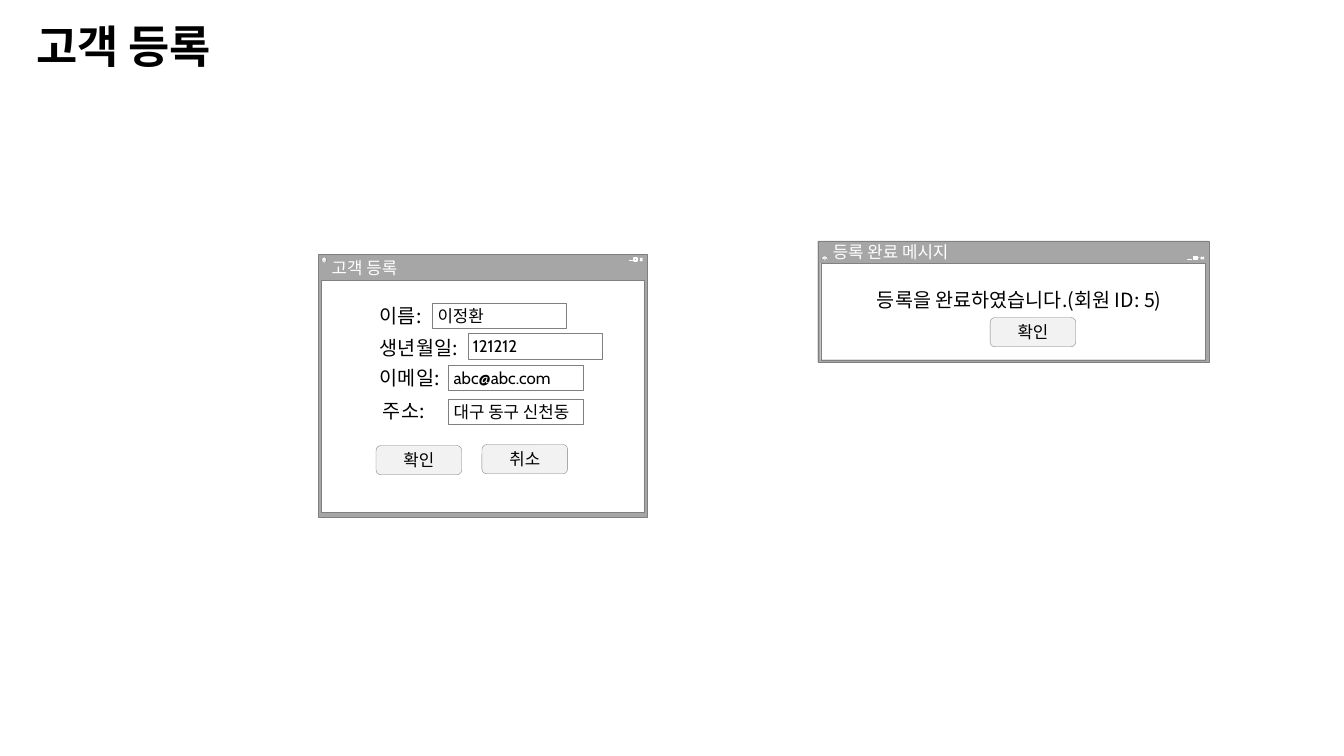
from copy import deepcopy
from pptx import Presentation
from pptx.dml.color import RGBColor
from pptx.enum.shapes import MSO_CONNECTOR, MSO_SHAPE
from pptx.enum.text import MSO_ANCHOR, MSO_AUTO_SIZE, PP_ALIGN
from pptx.oxml.ns import qn
from pptx.oxml.xmlchemy import OxmlElement
from pptx.util import Inches, Pt

BLACK = RGBColor(0, 0, 0)
WHITE = RGBColor(255, 255, 255)
FRAME = RGBColor(0xA6, 0xA6, 0xA6)
EDGE = RGBColor(0x80, 0x80, 0x80)
LIGHT = RGBColor(0xF2, 0xF2, 0xF2)
SHADE = RGBColor(0xD9, 0xD9, 0xD9)
DARK = RGBColor(0x91, 0x91, 0x91)
SANS, CABIN = "Noto Sans CJK KR", "Cabin"

# Windows: frame, body, title text and its box, then the bar icons:
# close cross, restore box, dash, and the round menu icon
WINDOWS = [
    dict(title="고객 등록", frame=(3.16, 2.52, 3.26, 2.61),
         body=(3.19, 2.78, 3.2, 2.3), head=(3.24, 2.55, 0.87, 0.23),
         cross=(6.35, 2.56, 0.02, 0.03), box=(6.29, 2.56, 0.03, 0.03),
         dash=(6.24, 2.58), menu=(3.19, 2.55, 0.05, 0.06)),
    dict(title="등록 완료 메시지", frame=(8.11, 2.39, 3.88, 1.2),
         body=(8.14, 2.61, 3.81, 0.96), head=(8.21, 2.38, 1.69, 0.25),
         cross=(11.91, 2.55, 0.03, 0.02), box=(11.84, 2.55, 0.04, 0.02),
         dash=(11.77, 2.57), menu=(8.15, 2.54, 0.06, 0.04)),
]
# Text, left, top, width, height, size, bold
LABELS = [
    ("고객 등록", 0.26, 0.14, 2.15, 0.64, 32, True),
    ("이름:", 3.67, 2.97, 0.64, 0.34, 14, False),
    ("생년월일:", 3.67, 3.28, 1.03, 0.34, 14, False),
    ("이메일:", 3.67, 3.58, 0.83, 0.34, 14, False),
    ("주소:", 3.7, 3.91, 0.71, 0.34, 14, False),
    ("등록을 완료하였습니다.(회원 ID: 5)", 8.6, 2.81, 3.27, 0.34, 14, False),
]
# Text, left, top
FIELDS = [("이정환", 4.29, 3.01), ("121212", 4.64, 3.31),
          ("abc@abc.com", 4.45, 3.62), ("대구 동구 신천동", 4.45, 3.96)]
BUTTONS = [("확인", 3.73, 4.42), ("취소", 4.78, 4.41), ("확인", 9.82, 3.15)]


def write(shape, text, size, font, color, pads, bold=False, wrap=False,
          align=PP_ALIGN.LEFT, anchor=MSO_ANCHOR.MIDDLE):
    """Fill the shape with one run; pads are left, top, right, bottom."""
    frame = shape.text_frame
    frame.word_wrap = wrap
    frame.vertical_anchor = anchor
    (frame.margin_left, frame.margin_top,
     frame.margin_right, frame.margin_bottom) = map(Inches, pads)
    para = frame.paragraphs[0]
    para.alignment = align
    run = para.add_run()
    run.text = text
    run.font.size = Pt(size)
    run.font.bold = bold
    run.font.color.rgb = color
    run.font.name = font
    asian = OxmlElement("a:ea")
    asian.set("typeface", SANS)
    run.font._element.append(asian)


def add_box(parent, area, fill, line=EDGE, width=0.25, kind=MSO_SHAPE.RECTANGLE):
    shape = parent.add_shape(kind, *map(Inches, area))
    shape.shadow.inherit = False
    if fill is None:
        shape.fill.background()
    else:
        shape.fill.solid()
        shape.fill.fore_color.rgb = fill
    shape.line.color.rgb = line
    shape.line.width = Pt(width)
    return shape


def add_label(parent, area):
    label = parent.add_textbox(*map(Inches, area))
    label.text_frame.auto_size = MSO_AUTO_SIZE.SHAPE_TO_FIT_TEXT
    return label


def add_line(parent, *ends):
    line = parent.add_connector(MSO_CONNECTOR.STRAIGHT, *map(Inches, ends))
    line.line.color.rgb = WHITE
    line.line.width = Pt(1)
    line._element.spPr.append(OxmlElement("a:effectLst"))


def shade(shape):
    """Give the menu icon its three-stop vertical gradient."""
    shape.fill.gradient()
    shape.fill.gradient_angle = 270
    stops = shape.fill.gradient_stops
    for stop, color, place in zip(stops, (LIGHT, SHADE), (0.36, 0.91)):
        stop.color.rgb = color
        stop.position = place
    gs_list = shape._element.spPr.find(qn("a:gradFill")).find(qn("a:gsLst"))
    last = deepcopy(gs_list[0])
    last.set("pos", "100000")
    gs_list.append(last)


def add_window(slide, win):
    group = slide.shapes.add_group_shape().shapes
    add_box(group, win["frame"], FRAME)
    add_box(group, win["body"], WHITE)
    write(add_label(group, win["head"]), win["title"], 12, CABIN, WHITE,
          (0.05, 0.02, 0.1, 0.03))
    x, y, w, h = win["cross"]
    add_line(group, x, y, x + w, y + h)
    add_line(group, x + w, y, x, y + h)
    x, y, w, h = win["box"]
    add_box(group, (x, y, w, 0), DARK, WHITE)
    add_box(group, (x, y, w, h), None, WHITE, 1)
    add_box(group, (*win["dash"], w, 0), DARK, WHITE)
    shade(add_box(group, win["menu"], LIGHT, kind=MSO_SHAPE.OVAL))


def main():
    deck = Presentation()
    deck.slide_width, deck.slide_height = Inches(13.33), Inches(7.5)
    slide = deck.slides.add_slide(deck.slide_layouts[6])
    for win in WINDOWS:
        add_window(slide, win)
    for text, x, y, w, h, size, bold in LABELS:
        write(add_label(slide.shapes, (x, y, w, h)), text, size, SANS, BLACK,
              (0.1, 0.05, 0.1, 0.05), bold, anchor=MSO_ANCHOR.TOP)
    for text, x, y in FIELDS:
        write(add_box(slide.shapes, (x, y, 1.33, 0.25), WHITE), text, 12, CABIN,
              BLACK, (0.05, 0.02, 0.05, 0.02))
    for text, x, y in BUTTONS:
        button = add_box(slide.shapes, (x, y, 0.85, 0.29), LIGHT,
                         kind=MSO_SHAPE.ROUNDED_RECTANGLE)
        write(button, text, 12, CABIN, BLACK, (0.1, 0, 0.1, 0.01),
              wrap=True, align=PP_ALIGN.CENTER)
    deck.save("out.pptx")


if __name__ == "__main__":
    main()
